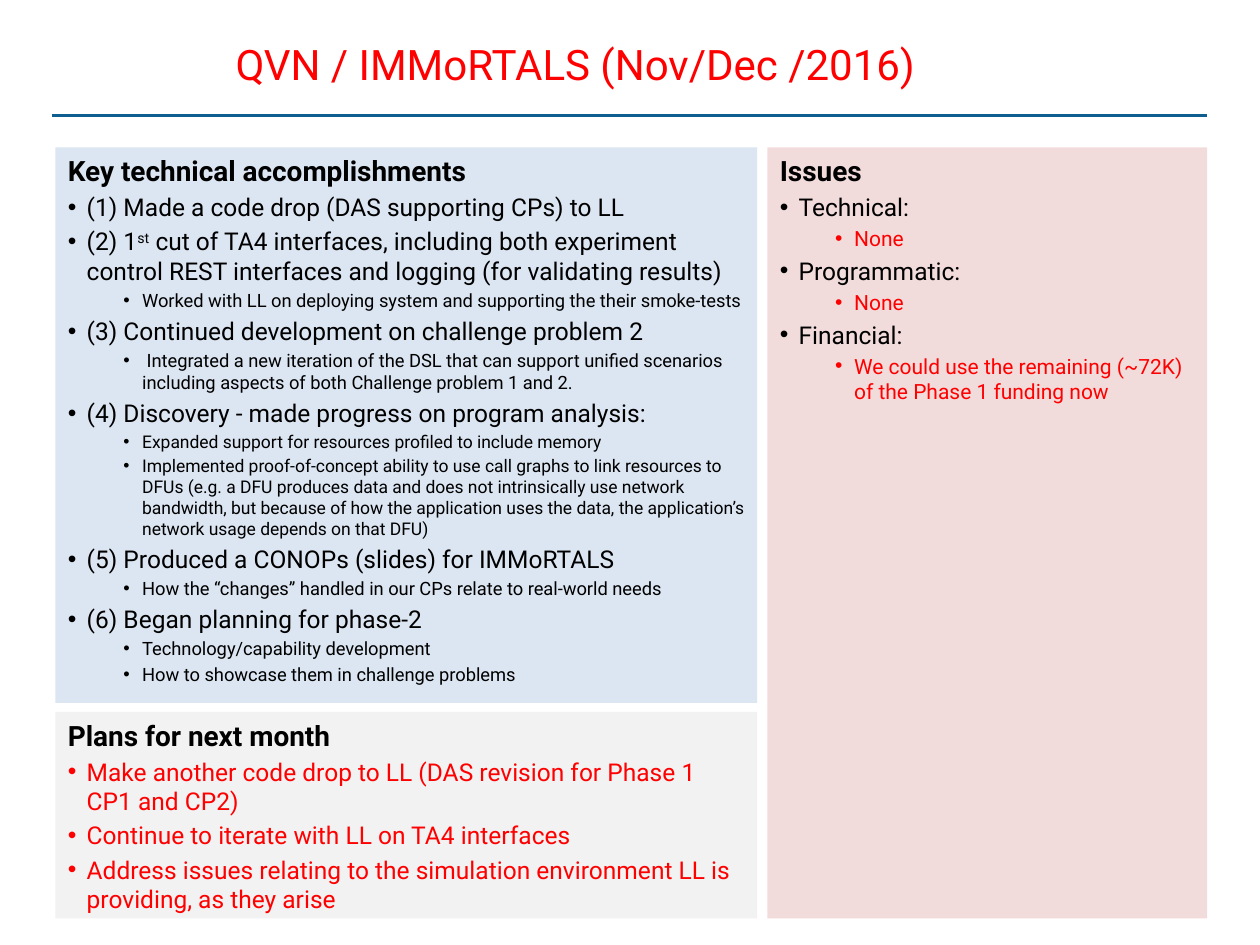
"""Build a monthly project status slide with accomplishments, issues and plans."""

import lxml.etree
import pptx
import pptx.dml.color
import pptx.enum.shapes
import pptx.enum.text
import pptx.oxml.ns
import pptx.util

Pt = pptx.util.Pt
RGBColor = pptx.dml.color.RGBColor
qn = pptx.oxml.ns.qn

RED = RGBColor(0xFF, 0x00, 0x00)
BLACK = RGBColor(0x00, 0x00, 0x00)
RULE_BLUE = RGBColor(0x0F, 0x5E, 0x90)
PALE_BLUE = RGBColor(0xDC, 0xE6, 0xF2)
PALE_RED = RGBColor(0xF2, 0xDC, 0xDB)
PALE_GREY = RGBColor(0xF2, 0xF2, 0xF2)
FONT = "Roboto"
INDENTS = [10.8, 42.5]
HANGING = 10.8

accomplishments = [
    (0, 14, BLACK, ["(1) Made a code drop (DAS supporting CPs) to LL"]),
    (0, 14, BLACK, ["(2) 1", "st", " cut of TA4 interfaces, including both experiment control "
                    "REST interfaces and logging (for validating results)"]),
    (1, 10.5, BLACK, ["Worked with LL on deploying system and supporting the their smoke-tests"]),
    (0, 14, BLACK, ["(3) Continued development on challenge problem 2"]),
    (1, 10.5, BLACK, [" Integrated a new iteration of the DSL that can support unified scenarios "
                      "including aspects of both Challenge problem 1 and 2."]),
    (0, 14, BLACK, ["(4) Discovery - made progress on program analysis:"]),
    (1, 10, BLACK, ["Expanded support for resources profiled to include memory"]),
    (1, 10, BLACK, ["Implemented proof-of-concept ability to use call graphs to link resources to "
                    "DFUs (e.g. a DFU produces data and does not intrinsically use network "
                    "bandwidth, but because of how the application uses the data, the "
                    "application’s network usage depends on that DFU)"]),
    (0, 14, BLACK, ["(5) Produced a CONOPs (slides) for IMMoRTALS"]),
    (1, 10.5, BLACK, ["How the “changes” handled in our CPs relate to real-world needs"]),
    (0, 14, BLACK, ["(6) Began planning for phase-2"]),
    (1, 10.5, BLACK, ["Technology/capability development"]),
    (1, 10.5, BLACK, ["How to showcase them in challenge problems"]),
]
issues = [
    (0, 14, BLACK, ["Technical:"]),
    (1, 12, RED, ["None"]),
    (0, 14, BLACK, ["Programmatic:"]),
    (1, 12, RED, ["None"]),
    (0, 14, BLACK, ["Financial:"]),
    (1, 12, RED, ["We could use the remaining (~72K) of the Phase 1 funding now"]),
]
plans = [
    (0, 14, RED, ["Make another code drop to LL (DAS revision for Phase 1 CP1 and CP2)"]),
    (0, 14, RED, ["Continue to iterate with LL on TA4 interfaces"]),
    (0, 14, RED, ["Address issues relating to the simulation environment LL is providing, "
                  "as they arise"]),
]
panels = [
    ("Key technical accomplishments", accomplishments, PALE_BLUE, (31.7, 84.2, 401, 317.5)),
    ("Issues", issues, PALE_RED, (438.5, 84.2, 251.3, 440.6)),
    ("Plans for next month", plans, PALE_GREY, (31.7, 406.8, 401, 118)),
]


def style(paragraph, size, color, bold=False):
    paragraph.alignment = pptx.enum.text.PP_ALIGN.LEFT
    paragraph.font.name = FONT
    paragraph.font.size = Pt(size)
    paragraph.font.color.rgb = color
    paragraph.font.bold = bold


def add_bullet(paragraph, level):
    paragraph.level = level
    properties = paragraph._p.get_or_add_pPr()
    properties.set("marL", str(Pt(INDENTS[level])))
    properties.set("indent", str(-Pt(HANGING)))
    lxml.etree.SubElement(properties, qn("a:buFont")).set("typeface", "Arial")
    lxml.etree.SubElement(properties, qn("a:buChar")).set("char", "•")


presentation = pptx.Presentation()
presentation.slide_width = Pt(720)
presentation.slide_height = Pt(540)
slide = presentation.slides.add_slide(presentation.slide_layouts[5])

rule = slide.shapes.add_connector(
    pptx.enum.shapes.MSO_CONNECTOR.STRAIGHT, Pt(30), Pt(66.2), Pt(690), Pt(66.2))
rule.line.color.rgb = RULE_BLUE
rule.line.width = Pt(1.75)
lxml.etree.SubElement(rule._element.spPr, qn("a:effectLst"))

for heading, items, fill, bounds in panels:
    panel = slide.shapes.add_shape(
        pptx.enum.shapes.MSO_SHAPE.RECTANGLE, *[Pt(length) for length in bounds])
    panel.shadow.inherit = False
    panel.fill.solid()
    panel.fill.fore_color.rgb = fill
    panel.line.fill.background()
    body = panel.text_frame
    body.word_wrap = True
    body.vertical_anchor = pptx.enum.text.MSO_ANCHOR.TOP
    body.paragraphs[0].text = heading
    style(body.paragraphs[0], 16, BLACK, bold=True)
    for level, size, color, pieces in items:
        paragraph = body.add_paragraph()
        paragraph.space_before = Pt(round(size * 0.2, 2))
        add_bullet(paragraph, level)
        style(paragraph, size, color)
        for piece in pieces:
            run = paragraph.add_run()
            run.text = piece
            if piece == "st":
                run._r.get_or_add_rPr().set("baseline", "30000")

title = slide.shapes.title
title.left, title.top, title.width, title.height = Pt(127.4), Pt(12.2), Pt(562.4), Pt(48.2)
title.text_frame.text = "QVN / IMMoRTALS (Nov/Dec /2016)"
title.text_frame.vertical_anchor = pptx.enum.text.MSO_ANCHOR.MIDDLE
style(title.text_frame.paragraphs[0], 24, RED)

presentation.save("out.pptx")
